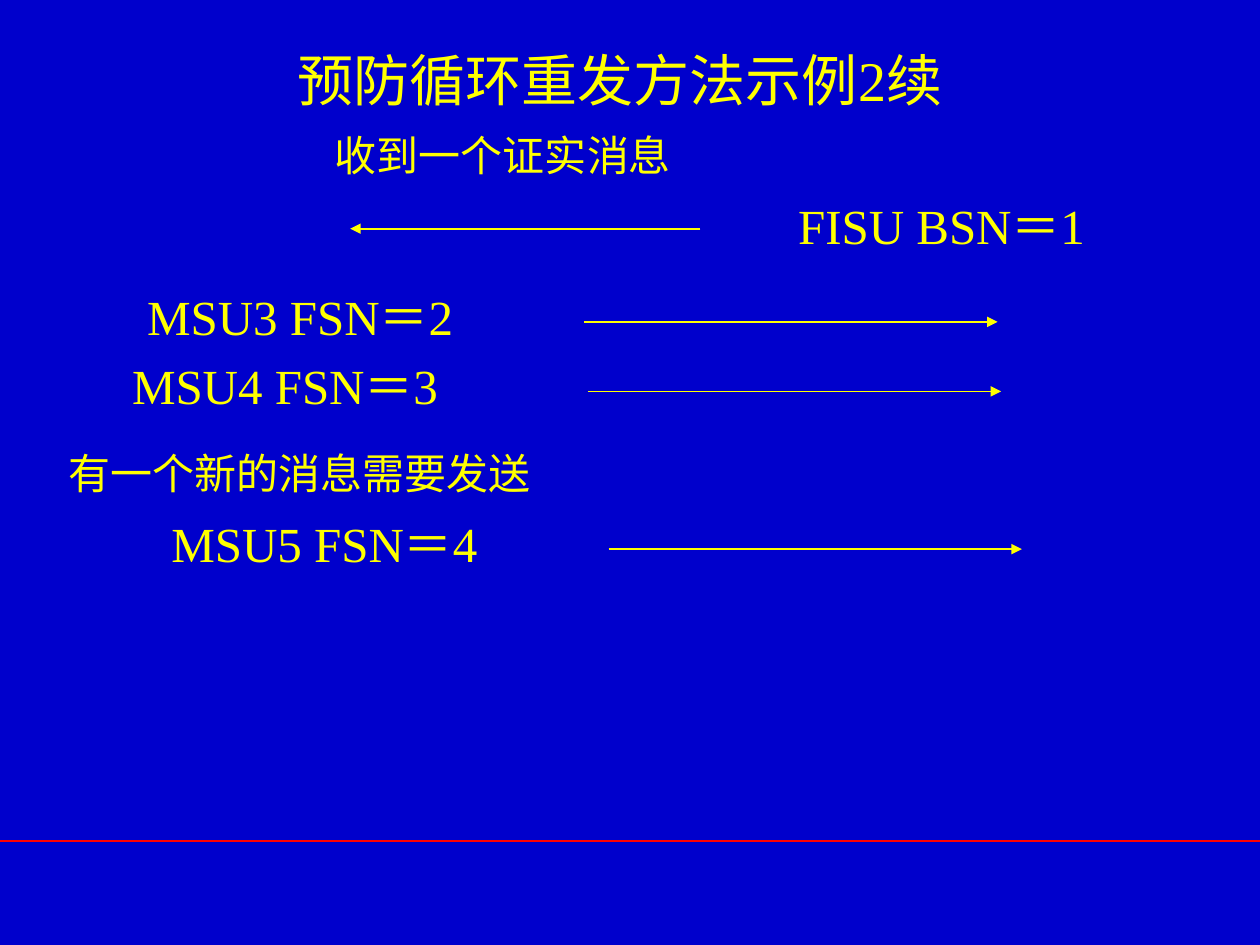
from dataclasses import dataclass

from lxml.etree import SubElement
from pptx import Presentation
from pptx.dml.color import RGBColor
from pptx.enum.shapes import MSO_CONNECTOR as Connector
from pptx.enum.text import MSO_ANCHOR as Anchor, MSO_AUTO_SIZE as AutoSize, PP_ALIGN as Align
from pptx.oxml.ns import qn
from pptx.util import Cm, Pt


@dataclass(frozen=True)
class Theme:
    back: RGBColor = RGBColor(0x00, 0x00, 0xCC)
    ink: RGBColor = RGBColor(0xFF, 0xFF, 0x00)
    rule: RGBColor = RGBColor(0xFF, 0x00, 0x00)
    font: str = "Times New Roman"
    title: int = 32
    message: int = 28
    caption: int = 24
    line: int = 1


THEME = Theme()
INSET = 0.25  # side inset of a text box, cm


def write(shape, text, size, wrap=False, extra_right=0):
    """Put one centred line of text into a shape."""
    frame = shape.text_frame
    frame.auto_size = AutoSize.SHAPE_TO_FIT_TEXT
    frame.word_wrap = wrap
    frame.vertical_anchor = Anchor.MIDDLE
    frame.margin_left = Cm(INSET)
    frame.margin_right = Cm(INSET + extra_right)
    frame.margin_top = frame.margin_bottom = Cm(0.13)
    para = frame.paragraphs[0]
    para.alignment = Align.CENTER
    span = para.add_run()
    span.text = text
    span.font.name = THEME.font
    span.font.size = Pt(size)
    span.font.color.rgb = THEME.ink


def add_text(page, box, text, size, **options):
    write(page.shapes.add_textbox(*map(Cm, box)), text, size, **options)


def add_line(page, start, end, y, color, arrow=False):
    """Draw a level line, with an arrowhead at its end if asked."""
    line = page.shapes.add_connector(Connector.STRAIGHT, Cm(start), Cm(y), Cm(end), Cm(y))
    line.line.color.rgb = color
    line.line.width = Pt(THEME.line)
    if arrow:
        SubElement(line.line._get_or_add_ln(), qn("a:tailEnd"), type="triangle")
    SubElement(line._element.spPr, qn("a:effectLst"))


def add_title(page, box, text):
    title = page.shapes.title
    title.left, title.top, title.width, title.height = map(Cm, box)
    write(title, text, THEME.title)


def add_sent_message(page, left, top, text, extra_right=0):
    """A message on the left with its arrow to the right."""
    add_text(page, (left, top, 10.52, 1.45), text, THEME.message,
             wrap=True, extra_right=extra_right)
    start = left + 10.99
    add_line(page, start, start + 8.33, top + 0.85, THEME.ink, arrow=True)


def add_received_message(page, left, top, text):
    """A message on the right with its arrow to the left."""
    add_text(page, (left, top, 6.76, 1.45), text, THEME.message)
    add_line(page, left - 1.48, left - 8.54, top + 0.8, THEME.ink, arrow=True)


def main():
    deck = Presentation()
    deck.slide_width, deck.slide_height = Cm(25.4), Cm(19.05)
    page = deck.slides.add_slide(deck.slide_layouts[5])
    page.background.fill.solid()
    page.background.fill.fore_color.rgb = THEME.back

    # Footer rule and title
    add_line(page, 0, 25.4, 16.95, THEME.rule)
    add_title(page, (5.47, 0.79, 14.05, 1.63), "预防循环重发方法示例2续")

    # Acknowledgement, then the messages still to be repeated
    add_text(page, (6.44, 2.49, 7.4, 1.27), "收到一个证实消息", THEME.caption)
    add_received_message(page, 15.6, 3.81, "FISU BSN＝1")
    add_sent_message(page, 0.79, 5.64, "MSU3 FSN＝2")
    add_sent_message(page, 0.86, 7.04, "MSU4 FSN＝3", extra_right=0.75)

    # New message
    add_text(page, (1.07, 8.89, 9.92, 1.27), "有一个新的消息需要发送", THEME.caption)
    add_sent_message(page, 1.28, 10.22, "MSU5 FSN＝4")

    deck.save("out.pptx")


if __name__ == "__main__":
    main()
